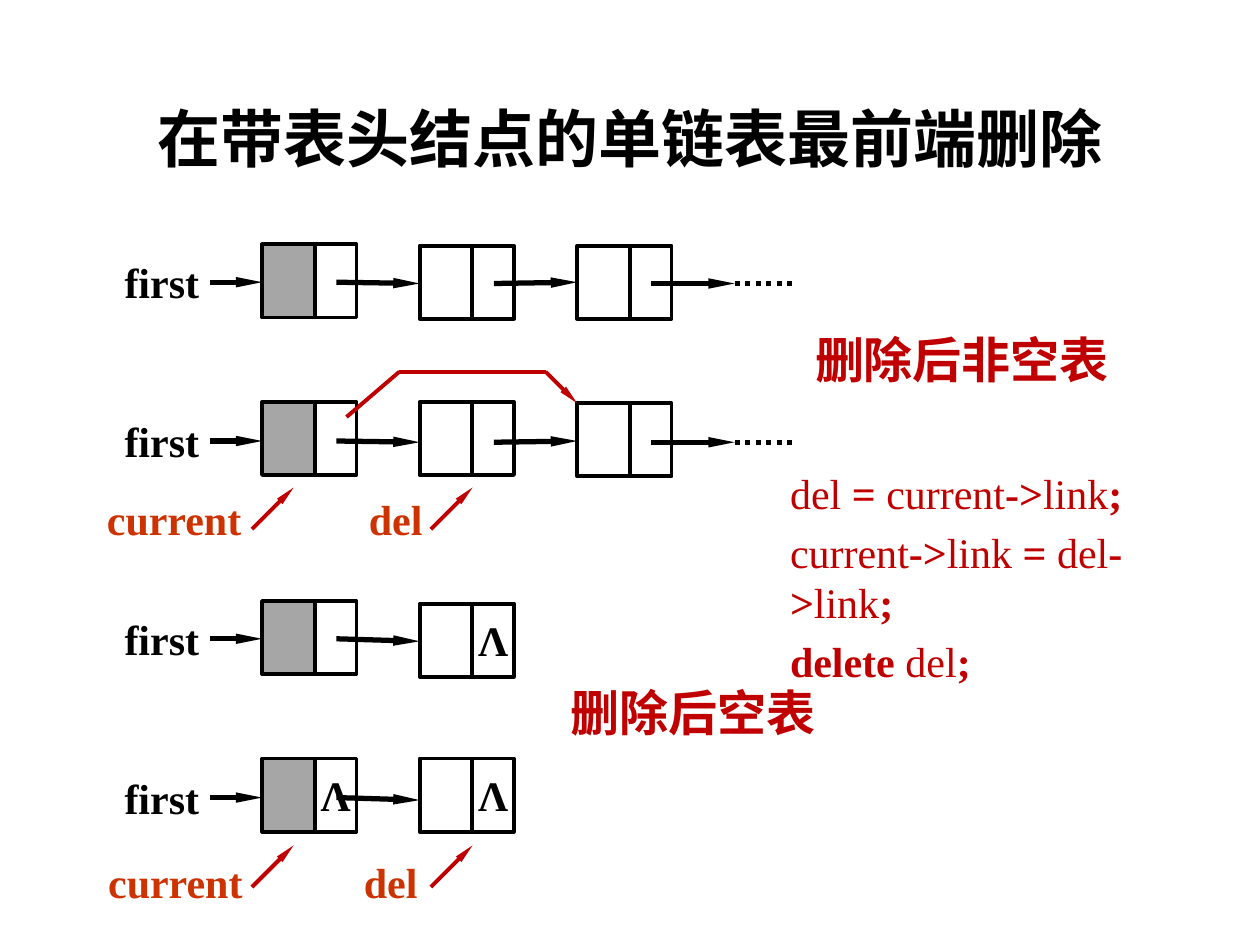
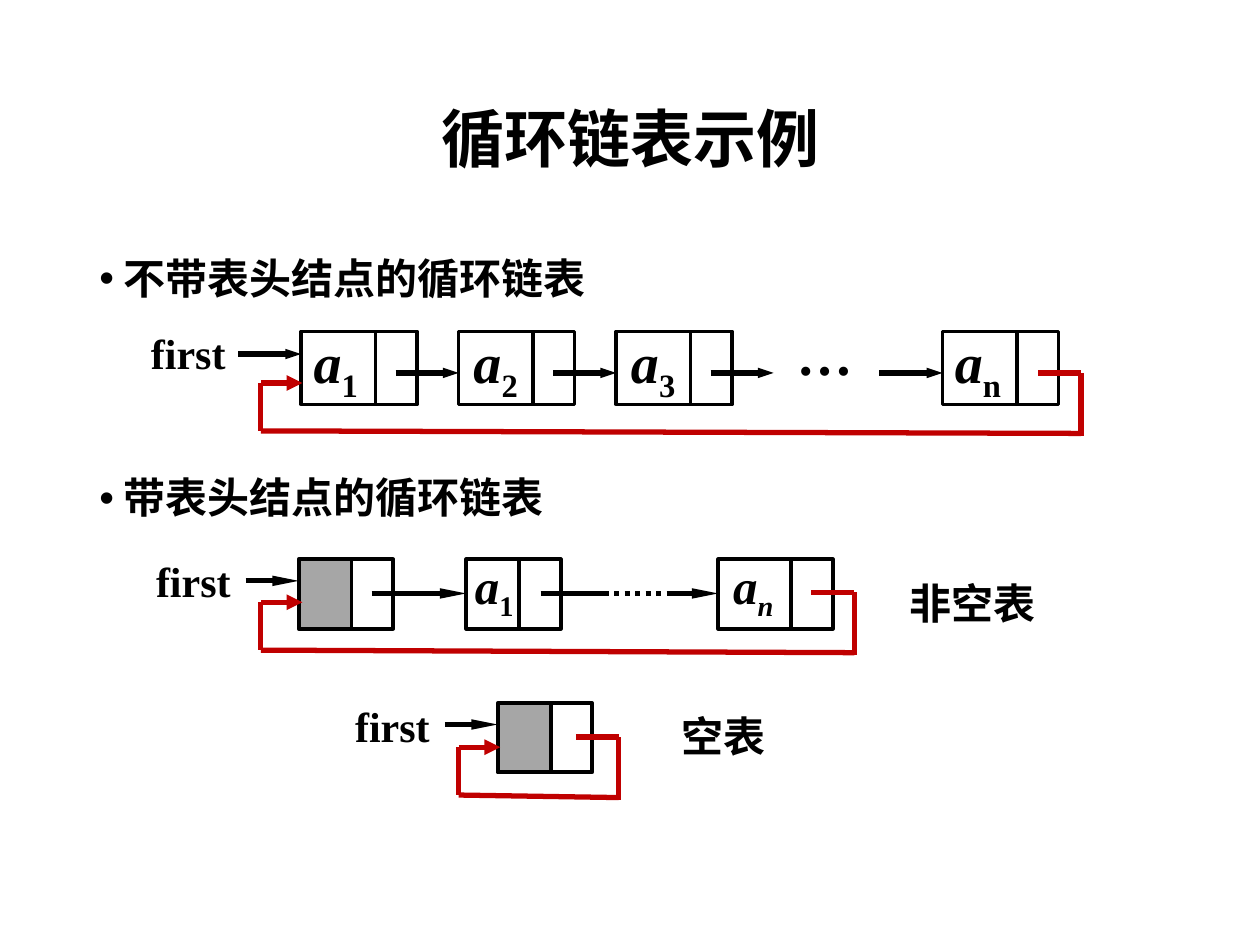
from lxml import etree
from pptx import Presentation
from pptx.dml.color import RGBColor
from pptx.enum.dml import MSO_LINE
from pptx.enum.shapes import MSO_CONNECTOR, MSO_SHAPE
from pptx.enum.text import MSO_ANCHOR, MSO_AUTO_SIZE, PP_ALIGN
from pptx.oxml.ns import qn
from pptx.util import Inches, Pt

COLORS = {
    "black": "000000",
    "white": "FFFFFF",
    "header": "A6A6A6",
    "red": "C00000",
    "pointer": "CC3300",
}
CJK = "Noto Sans CJK SC"
LATIN = "Times New Roman"
POINTER_WIDTH = 0.33


def rgb(name):
    return RGBColor.from_string(COLORS[name])


def write_text(frame, text, size=24, font=LATIN, color="black", bold=True,
               italic=False, align=PP_ALIGN.LEFT, anchor=MSO_ANCHOR.TOP,
               wrap=False, insets=(0.1, 0.05), line_spacing=None, gap=0, bullet=False):
    frame.word_wrap = wrap
    frame.vertical_anchor = anchor
    frame.margin_left = frame.margin_right = Inches(insets[0])
    frame.margin_top = frame.margin_bottom = Inches(insets[1])
    lines = text if isinstance(text, list) else [[(text, {})]]
    for index, line in enumerate(lines):
        paragraph = frame.add_paragraph() if index else frame.paragraphs[0]
        paragraph.alignment = align
        if line_spacing:
            paragraph.line_spacing = line_spacing
        if index:
            paragraph.space_before = Pt(gap)
        if bullet:
            properties = paragraph._p.get_or_add_pPr()
            properties.set("marL", str(Inches(0.19)))
            properties.set("indent", str(-Inches(0.19)))
            etree.SubElement(properties, qn("a:buFont"), typeface="Arial")
            etree.SubElement(properties, qn("a:buChar"), char="•")
        for words, changes in line:
            run = paragraph.add_run()
            run.text = words
            run.font.name = font
            run.font.size = Pt(size)
            run.font.bold = changes.get("bold", bold)
            run.font.italic = changes.get("italic", italic)
            run.font.color.rgb = rgb(color)
            run_properties = run._r.get_or_add_rPr()
            etree.SubElement(run_properties, qn("a:ea"), typeface=font)
            if changes.get("subscript"):
                run_properties.set("baseline", "-25000")


def add_label(slide, text, left, top, width, height=0.5, **format):
    box = slide.shapes.add_textbox(Inches(left), Inches(top), Inches(width), Inches(height))
    write_text(box.text_frame, text, **format)
    box.text_frame.auto_size = MSO_AUTO_SIZE.SHAPE_TO_FIT_TEXT


def add_cell(slide, left, top, width, height, fill="white", text="", line_width=2.25):
    cell = slide.shapes.add_shape(
        MSO_SHAPE.RECTANGLE, Inches(left), Inches(top), Inches(width), Inches(height))
    cell.shadow.inherit = False
    cell.fill.solid()
    cell.fill.fore_color.rgb = rgb(fill)
    cell.line.color.rgb = rgb("black")
    cell.line.width = Pt(line_width)
    if text:
        write_text(cell.text_frame, text, align=PP_ALIGN.CENTER, anchor=MSO_ANCHOR.MIDDLE)


def add_node(slide, left, top, height, data_width=0.42, header=False, link=""):
    add_cell(slide, left, top, data_width, height, "header" if header else "white")
    add_cell(slide, left + data_width, top, POINTER_WIDTH, height, text=link)


def add_line(slide, x1, y1, x2, y2, color="black", width=3, head=None, dotted=False):
    line = slide.shapes.add_connector(
        MSO_CONNECTOR.STRAIGHT, Inches(x1), Inches(y1), Inches(x2), Inches(y2))
    line.line.color.rgb = rgb(color)
    line.line.width = Pt(width)
    if dotted:
        line.line.dash_style = MSO_LINE.ROUND_DOT
    if head:
        head_width, head_length = head
        etree.SubElement(line.line._get_or_add_ln(), qn("a:tailEnd"),
                         type="triangle", w=head_width, len=head_length)
    etree.SubElement(line._element.spPr, qn("a:effectLst"))


LONG_HEAD = ("sm", "lg")
SHORT_HEAD = ("sm", "med")
WIDE_HEAD = ("med", "med")


def add_titled_slide(deck, title):
    slide = deck.slides.add_slide(deck.slide_layouts[5])
    heading = slide.shapes.title
    heading.left, heading.top = Inches(0.69), Inches(0.4)
    heading.width, heading.height = Inches(8.62), Inches(1.45)
    write_text(heading.text_frame, title, size=36, font=CJK, align=PP_ALIGN.CENTER,
               anchor=MSO_ANCHOR.MIDDLE, wrap=True, line_spacing=0.9)
    return slide


def add_list_row(slide, tops, link_y, dip=0.01, links=("", "", ""), continues=False):
    for index, top in enumerate(tops):
        add_node(slide, 2.08 + 1.25 * index, top, 0.58, header=index == 0, link=links[index])
    add_label(slide, "first", 0.89, link_y - 0.25, 0.8)
    add_line(slide, 1.67, link_y, 2.08, link_y, head=LONG_HEAD)
    add_line(slide, 2.67, link_y, 3.33, link_y + dip, head=LONG_HEAD)
    if continues:
        low = link_y + dip
        add_line(slide, 3.92, low, 4.58, link_y, head=LONG_HEAD)
        add_line(slide, 5.17, low, 5.83, low, head=LONG_HEAD)
        add_line(slide, 5.83, low, 6.33, low, dotted=True)


def add_pointers(slide, y, current_at, del_at):
    add_label(slide, "current", *current_at, 1.28, color="pointer")
    add_label(slide, "del", *del_at, 0.63, color="pointer")
    for x in (2, 3.42):
        add_line(slide, x, y, x + 0.33, y - 0.33, "red", 2.25, LONG_HEAD)


def add_return_loop(slide, left, right, entry_y):
    exit_y, floor = entry_y - 0.08, entry_y + 0.38
    add_line(slide, left, entry_y, left + 0.33, entry_y, "red", head=WIDE_HEAD)
    add_line(slide, left, entry_y, left, floor, "red")
    add_line(slide, left, floor, right, floor + 0.02, "red")
    add_line(slide, right - 0.34, exit_y, right, exit_y, "red")
    add_line(slide, right, exit_y, right, floor + 0.04, "red")


def add_element(slide, subscript, left, top, width, size=32, slanted=False):
    text = [[("a", {}), (subscript, {"italic": slanted, "subscript": True})]]
    add_label(slide, text, left, top, width, size / 50, size=size, italic=True)


def build_deletion(deck):
    slide = add_titled_slide(deck, "在带表头结点的单链表最前端删除")
    caption = {"size": 28, "font": CJK, "color": "red", "wrap": True}
    add_label(slide, "删除后非空表", 6.37, 2.57, 2.69, 0.57, **caption)
    add_label(slide, "删除后空表", 4.43, 5.37, 2.49, 0.57, **caption)

    add_list_row(slide, (1.94, 1.95, 1.95), 2.24, continues=True)
    add_list_row(slide, (3.19, 3.19, 3.2), 3.5, continues=True)
    add_list_row(slide, (4.77, 4.79), 5.07, dip=0.02, links=("", "Λ"))
    add_list_row(slide, (6.02, 6.02), 6.33, dip=0.02, links=("Λ", "Λ"))

    add_line(slide, 2.75, 3.31, 3.17, 2.95, "red", 2.25)
    add_line(slide, 3.17, 2.95, 4.33, 2.95, "red", 2.25)
    add_line(slide, 4.33, 2.95, 4.58, 3.2, "red", 2.25, LONG_HEAD)
    add_pointers(slide, 4.2, (0.75, 3.87), (2.83, 3.87))
    add_pointers(slide, 7.04, (0.76, 6.75), (2.79, 6.75))

    strong = {"bold": True}
    code = [
        [("del ", {}), ("= ", strong), ("current", {}), ("->", strong),
         ("link", {}), (";", strong)],
        [("current", {}), ("->", strong), ("link ", {}), ("= ", strong),
         ("del", {}), ("->", strong), ("link", {}), (";", strong)],
        [("delete ", strong), ("del", {}), (";", strong)],
    ]
    add_label(slide, code, 6.15, 3.65, 3.62, 1.5, color="red", bold=False,
              wrap=True, insets=(0.12, 0.06), gap=4.8)


def build_circular(deck):
    slide = add_titled_slide(deck, "循环链表示例")
    for text, top in (("不带表头结点的循环链表", 2), ("带表头结点的循环链表", 3.74)):
        add_label(slide, text, 0.69, top, 8.62, font=CJK, wrap=True,
                  line_spacing=0.9, bullet=True)

    elements = (("1", 2.39, 2.39), ("2", 3.64, 3.66), ("3", 4.89, 4.91), ("n", 7.48, 7.48))
    for subscript, left, text_left in elements:
        add_cell(slide, left, 2.63, 0.92, 0.58, line_width=2)
        add_line(slide, left + 0.59, 2.63, left + 0.59, 3.21, width=2)
        add_element(slide, subscript, text_left, 2.55, 0.57)
    for x in (3.14, 4.39, 5.64, 6.98):
        add_line(slide, x, 2.96, x + 0.5, 2.96, head=SHORT_HEAD)
    add_label(slide, "…", 6.24, 2.49, 0.65, 0.64, size=32, italic=True)
    add_label(slide, "first", 1.1, 2.55, 0.8)
    add_line(slide, 1.89, 2.81, 2.39, 2.81, head=SHORT_HEAD)
    add_return_loop(slide, 2.07, 8.58, 3.04)

    add_node(slide, 2.37, 4.44, 0.55, header=True)
    add_node(slide, 3.7, 4.44, 0.55)
    add_node(slide, 5.7, 4.44, 0.55, data_width=0.58)
    add_element(slide, "1", 3.67, 4.36, 0.61, size=28)
    add_element(slide, "n", 5.72, 4.36, 0.6, size=28, slanted=True)
    add_line(slide, 2.95, 4.71, 3.7, 4.71, head=LONG_HEAD)
    add_line(slide, 4.29, 4.71, 4.79, 4.71)
    add_line(slide, 4.79, 4.71, 5.29, 4.71, dotted=True)
    add_line(slide, 5.29, 4.71, 5.7, 4.71, head=LONG_HEAD)
    add_label(slide, "first", 1.14, 4.36, 0.8)
    add_line(slide, 1.95, 4.61, 2.37, 4.61, head=LONG_HEAD)
    add_return_loop(slide, 2.07, 6.78, 4.78)

    add_node(slide, 3.95, 5.58, 0.55, header=True)
    add_label(slide, "first", 2.72, 5.51, 0.8)
    add_line(slide, 3.53, 5.75, 3.95, 5.75, head=LONG_HEAD)
    add_return_loop(slide, 3.64, 4.91, 5.93)

    add_label(slide, "非空表", 7.1, 4.52, 1.26, 0.53, font=CJK, insets=(0.12, 0.06))
    add_label(slide, "空表", 5.29, 5.58, 0.92, 0.53, font=CJK, insets=(0.12, 0.06))


def main():
    deck = Presentation()
    deck.slide_width, deck.slide_height = Inches(10), Inches(7.5)
    build_deletion(deck)
    build_circular(deck)
    deck.save("out.pptx")


if __name__ == "__main__":
    main()
